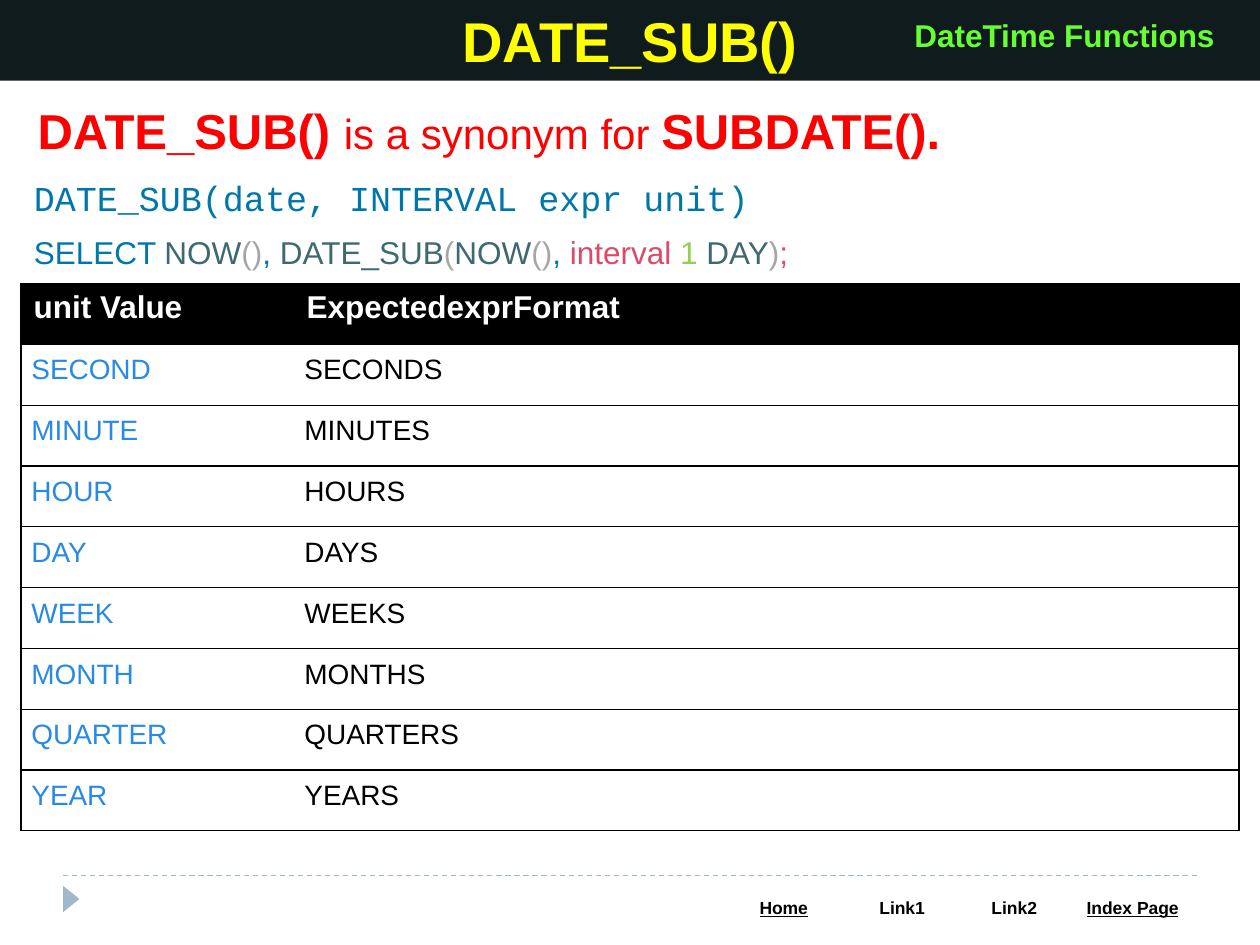
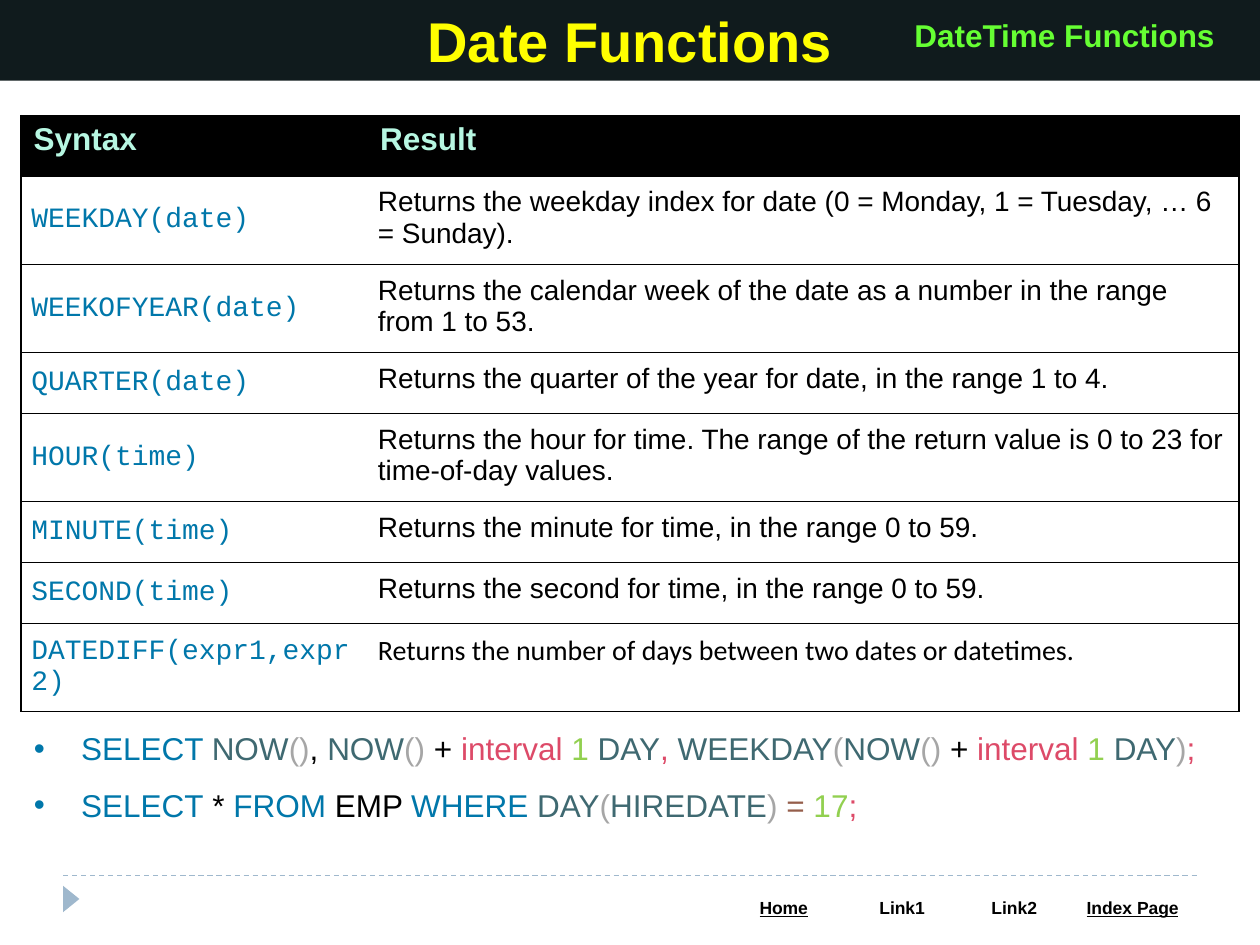
from dataclasses import dataclass, replace
from typing import NamedTuple

from lxml import etree
from pptx import Presentation
from pptx.dml.color import RGBColor
from pptx.enum.dml import MSO_LINE
from pptx.enum.shapes import MSO_CONNECTOR, MSO_SHAPE
from pptx.enum.text import MSO_ANCHOR, PP_ALIGN
from pptx.oxml.ns import qn
from pptx.util import Inches, Pt

LEFT, MID, RIGHT = PP_ALIGN.LEFT, PP_ALIGN.CENTER, PP_ALIGN.RIGHT
TOP, CENTRE = MSO_ANCHOR.TOP, MSO_ANCHOR.MIDDLE
RECT, ARROW = MSO_SHAPE.RECTANGLE, MSO_SHAPE.ISOSCELES_TRIANGLE
LINE, DASH = MSO_CONNECTOR.STRAIGHT, MSO_LINE.DASH

# The slide is a grid of 100 columns by 75 rows
COLS, ROWS = 100, 75
WIDE, HIGH = Inches(10), Inches(7.5)


@dataclass(frozen=True)
class Theme:
    sans: str = "Arial"
    mono: str = "Courier New"
    plain: str = "Calibri"
    band: str = "101B1D"
    title: str = "FFFF00"
    tag: str = "66FF33"
    foot: str = "9FB8CD"
    black: str = "000000"
    white: str = "FFFFFF"
    mint: str = "B7F7E2"
    red: str = "FF0000"
    unit: str = "298AE5"
    key: str = "0077AA"
    func: str = "3F6971"
    paren: str = "A6A6A6"
    word: str = "DD4A68"
    num: str = "92D050"
    equal: str = "955E4B"
    huge: int = 32
    big: int = 28
    lead: int = 24
    code: int = 20
    text: int = 18
    cell: int = 16
    link: int = 10
    rule: float = 0.75


T = Theme()


@dataclass(frozen=True)
class Look:
    size: int
    color: str
    font: str = T.sans
    bold: bool = False
    under: bool = False


class Run(NamedTuple):
    text: str
    look: Look


class Box(NamedTuple):
    col: float
    row: float
    wide: float
    high: float


@dataclass(frozen=True)
class Sheet:
    """A ruled table with a black head."""
    top: float
    cols: tuple[float, float]
    highs: list[float]
    heads: tuple[Run, Run]
    rows: list[tuple[Run, Run]]
    anchor: MSO_ANCHOR = TOP


Line = list[Run]

TALL, SHORT = 7, 4.83
BAND = Box(0, 0, 100, 6.4)
TAG = Box(71.3, 0.8, 26.1, 4)
LINKS = {"Home": 9.4, "Link1": 9.4, "Link2": 8.4, "Index Page": 10.4}
LINKED = ("Home", "Index Page")


def x(cols: float) -> int:
    return round(WIDE * cols / COLS)


def y(rows: float) -> int:
    return round(HIGH * rows / ROWS)


def place(box: Box) -> tuple[int, int, int, int]:
    return x(box.col), y(box.row), x(box.wide), y(box.high)


def rgb(color: str) -> RGBColor:
    return RGBColor.from_string(color)


def write(frame, lines: list[Line], align=LEFT, wrap: bool = True) -> None:
    frame.word_wrap = wrap
    for i, line in enumerate(lines):
        para = frame.paragraphs[0] if i == 0 else frame.add_paragraph()
        para.alignment = align
        for text, look in line:
            run = para.add_run()
            run.text = text
            font = run.font
            font.name, font.size = look.font, Pt(look.size)
            font.bold, font.underline = look.bold, look.under
            font.color.rgb = rgb(look.color)


def label(slide, box: Box, lines: list[Line], align=LEFT, wrap: bool = True):
    frame = slide.shapes.add_textbox(*place(box)).text_frame
    write(frame, lines, align, wrap)
    return frame


def solid(slide, kind, box: Box, color: str):
    shape = slide.shapes.add_shape(kind, *place(box))
    shape.shadow.inherit = False
    shape.fill.solid()
    shape.fill.fore_color.rgb = rgb(color)
    shape.line.fill.background()
    return shape


def paint(cell, color: str) -> None:
    cell.fill.solid()
    cell.fill.fore_color.rgb = rgb(color)


def bullet(para) -> None:
    props = para._p.get_or_add_pPr()
    props.set("marL", str(x(3.75)))
    props.set("indent", str(-x(3.75)))
    etree.SubElement(props, qn("a:buFont"), typeface=T.sans)
    etree.SubElement(props, qn("a:buChar"), char="•")


def border(cell, sides: str) -> None:
    """Rule the named sides and clear the others."""
    props = cell._tc.get_or_add_tcPr()
    for i, side in enumerate("LRTB"):
        edge = etree.Element(qn(f"a:ln{side}"), w=str(Pt(T.rule)))
        if side in sides:
            fill = etree.SubElement(edge, qn("a:solidFill"))
            etree.SubElement(fill, qn("a:srgbClr"), val=T.black)
        else:
            etree.SubElement(edge, qn("a:noFill"))
        props.insert(i, edge)


def table(slide, box: Box, cols: list[float], highs: list[float]):
    grid = slide.shapes.add_table(len(highs), len(cols), *place(box)).table
    grid.first_row = grid.horz_banding = False
    for col, wide in zip(grid.columns, cols):
        col.width = x(wide)
    for row, high in zip(grid.rows, highs):
        row.height = y(high)
    return grid


def draw(slide, sheet: Sheet) -> None:
    box = Box(1.67, sheet.top, sum(sheet.cols), sum(sheet.highs))
    grid = table(slide, box, list(sheet.cols), sheet.highs)
    for r, pair in enumerate([sheet.heads, *sheet.rows]):
        for c, run in enumerate(pair):
            cell = grid.cell(r, c)
            write(cell.text_frame, [[run]])
            if r == 0:
                paint(cell, T.black)
            else:
                cell.fill.background()
                cell.margin_left = cell.margin_right = x(0.83)
                cell.margin_top = cell.margin_bottom = y(0.83)
                cell.vertical_anchor = TOP if c else sheet.anchor
            border(cell, "RTB" if c else "LTB")


def frame(deck, title: str):
    """Add a slide with the shared footer, band and tag."""
    slide = deck.slides.add_slide(deck.slide_layouts[6])
    # Footer
    solid(slide, ARROW, Box(4.6, 70.7, 2.1, 1.3), T.foot).rotation = 90
    rule = slide.shapes.add_connector(LINE, x(5), y(69.5), x(95), y(69.5))
    rule.line.color.rgb = rgb(T.foot)
    rule.line.width = Pt(T.rule)
    rule.line.dash_style = DASH
    etree.SubElement(rule._element.spPr, qn("a:effectLst"))
    wides = list(LINKS.values())
    grid = table(slide, Box(57.5, 70.8, sum(wides), 2.7), wides, [2.7])
    for c, name in enumerate(LINKS):
        look = Look(T.link, T.black, bold=True, under=name in LINKED)
        write(grid.cell(0, c).text_frame, [[Run(name, look)]], MID)
        paint(grid.cell(0, c), T.white)
    # Title band and topic tag
    band = solid(slide, RECT, BAND, T.band).text_frame
    band.vertical_anchor = CENTRE
    write(band, [[Run(title, Look(T.huge, T.title, bold=True))]], MID)
    tag = Run("DateTime Functions", Look(T.text, T.tag, bold=True))
    label(slide, TAG, [[tag]], RIGHT, False)
    return slide


def sql(*parts: tuple[str, str]) -> Line:
    return [Run(text, Look(T.text, color)) for text, color in parts]


# Shared pieces of the queries
PICK = ("SELECT ", T.key)
NOW = ("NOW", T.func)
CALL = ("()", T.paren)
OPEN, SHUT = ("(", T.paren), (")", T.paren)
DAY = ("DAY", T.func)
ONE = ("1 ", T.num)
END = (";", T.word)
SHIFT = (NOW, ("() ", T.paren), ("+", T.black), (" interval ", T.word), ONE, DAY)

CELL = Look(T.cell, T.black)
UNIT = replace(CELL, color=T.unit)
MONO = replace(CELL, color=T.key, font=T.mono)
HEAD = Look(T.text, T.white, bold=True)
MINT = replace(HEAD, color=T.mint)

UNITS = ("SECOND", "MINUTE", "HOUR", "DAY", "WEEK", "MONTH", "QUARTER", "YEAR")
DATES = {
    "WEEKDAY(date)": "Returns the weekday index for date (0 = Monday, 1 = Tuesday, … 6 = Sunday).",
    "WEEKOFYEAR(date)": "Returns the calendar week of the date as a number in the range from 1 to 53.",
    "QUARTER(date)": "Returns the quarter of the year for date, in the range 1 to 4.",
    "HOUR(time)": "Returns the hour for time. The range of the return value is 0 to 23 for time-of-day values.",
    "MINUTE(time)": "Returns the minute for time, in the range 0 to 59.",
    "SECOND(time)": "Returns the second for time, in the range 0 to 59.",
}


def sub_date(deck) -> None:
    slide = frame(deck, "DATE_SUB()")
    # Syntax and sample query
    code = Look(T.code, T.key, T.mono)
    label(slide, Box(1.7, 13.5, 95.7, 4.4),
          [[Run("DATE_SUB(date, INTERVAL expr unit)", code)]])
    label(slide, Box(1.7, 18, 96.7, 4), [sql(
        PICK, NOW, CALL, (", ", T.key), ("DATE_SUB", T.func), OPEN, NOW, CALL,
        (", ", T.key), ("interval ", T.word), ONE, DAY, SHUT, END)])
    # Lead line
    loud = Look(T.big, T.red, bold=True)
    label(slide, Box(2, 7.5, 95.4, 5.7), [[
        Run("DATE_SUB() ", loud),
        Run("is a synonym for ", Look(T.lead, T.red)),
        Run("SUBDATE().", loud)]])
    # Units
    draw(slide, Sheet(
        22.5, (21.67, 75), [SHORT] * (len(UNITS) + 1),
        (Run("unit Value", HEAD), Run("ExpectedexprFormat", HEAD)),
        [(Run(unit, UNIT), Run(unit + "S", CELL)) for unit in UNITS]))


def date_list(deck) -> None:
    slide = frame(deck, "Date Functions")
    # Functions
    rows = [(Run(name, MONO), Run(note, CELL)) for name, note in DATES.items()]
    rows.append((
        Run("DATEDIFF(expr1,expr2)", MONO),
        Run("Returns the number of days between two dates or datetimes.",
            replace(CELL, font=T.plain))))
    draw(slide, Sheet(
        9.17, (27.5, 69.17),
        [SHORT, TALL, TALL, SHORT, TALL, SHORT, SHORT, TALL],
        (Run("Syntax", MINT), Run("Result", MINT)), rows, CENTRE))
    # Sample queries
    text = label(slide, Box(1.7, 55.9, 96.7, 10.1), [
        sql(PICK, NOW, CALL, (", ", T.black), *SHIFT, (", ", T.word),
            ("WEEKDAY", T.func), OPEN, *SHIFT, SHUT, END),
        sql(("SELECT", T.key), (" * ", T.black), ("FROM", T.key),
            (" EMP ", T.black), ("WHERE ", T.key), DAY, OPEN,
            ("HIREDATE", T.func), (") ", T.paren), ("= ", T.equal),
            ("17", T.num), END)])
    for para in text.paragraphs:
        para.line_spacing = 1.5
        bullet(para)


def main() -> None:
    deck = Presentation()
    deck.slide_width, deck.slide_height = WIDE, HIGH
    sub_date(deck)
    date_list(deck)
    deck.save("out.pptx")


if __name__ == "__main__":
    main()
